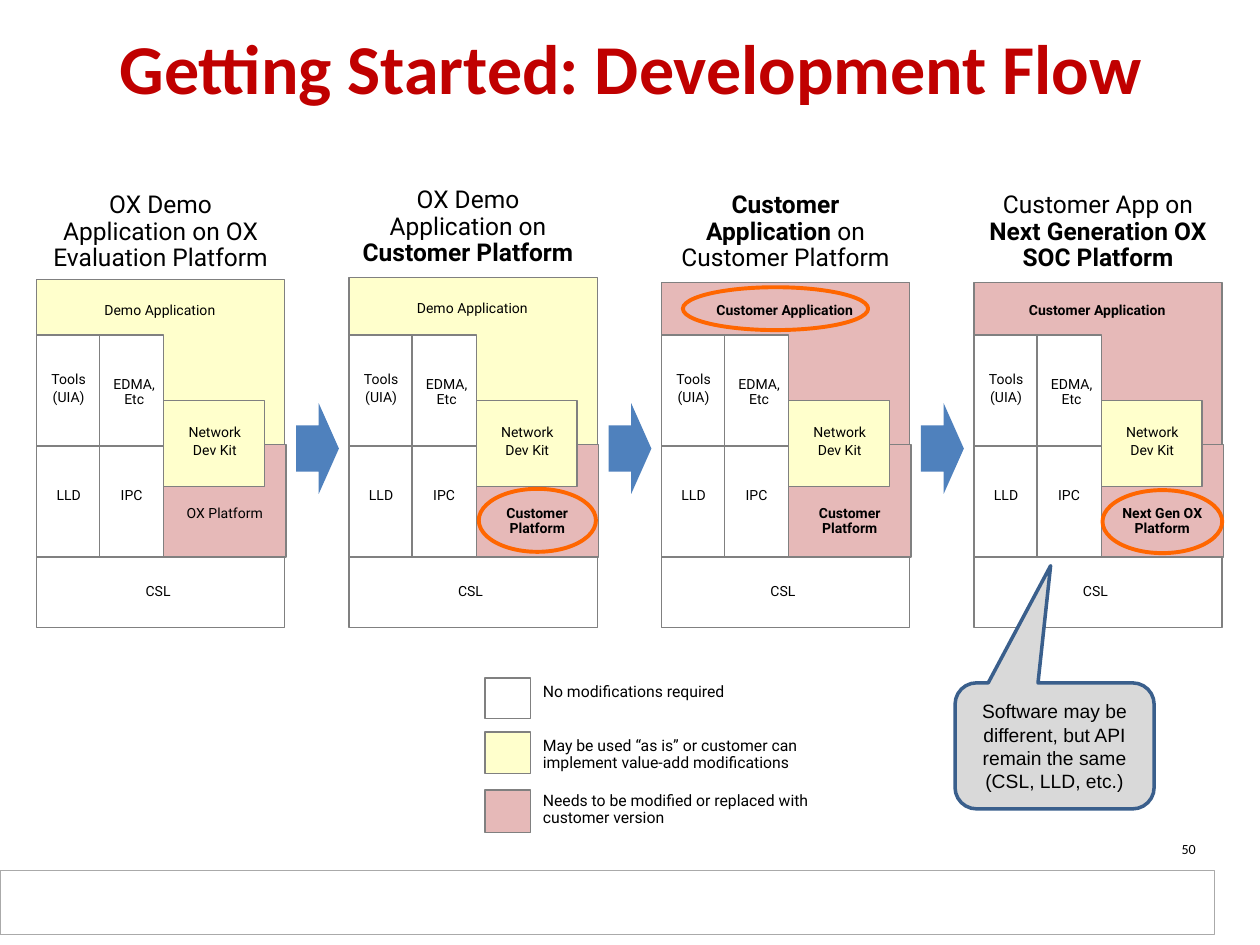
from pptx import Presentation
from pptx import util as u
from pptx.dml.color import RGBColor
from pptx.enum import shapes, text

WHITE, YELLOW, PINK, GREY = "FFFFFF", "FFFFCC", "E6B9B8", "808080"
ORANGE, BLACK = "FF6600", "000000"
SHAPE = shapes.MSO_SHAPE
CENTER = text.PP_ALIGN.CENTER

# Heading spans are (text, bold); top is (fill, top, height); circles mark changes.
STAGES = [
    dict(heading=[("OX Demo Application on OX Evaluation Platform", False)],
         heading_at=(0, 1.48), top=(YELLOW, 2.22, 2.2), app="Demo Application",
         app_top=2.36, app_bold=False, platform="OX Platform", platform_bold=False),
    dict(heading=[("OX Demo Application on ", False), ("Customer Platform", True)],
         heading_at=(-0.04, 1.44), top=(YELLOW, 2.2, 2.2), app="Demo Application",
         app_top=2.34, app_bold=False, platform="Customer Platform", platform_bold=True),
    dict(heading=[("Customer Application", True), (" on Customer Platform", False)],
         heading_at=(0, 1.48), top=(PINK, 2.24, 1.3), app="Customer Application",
         app_top=2.36, app_bold=True, platform="Customer Platform", platform_bold=True),
    dict(heading=[("Customer App on ", False), ("Next Generation OX SOC Platform", True)],
         heading_at=(0, 1.48), top=(PINK, 2.24, 1.3), app="Customer Application",
         app_top=2.36, app_bold=True, platform="Next Gen OX Platform", platform_bold=True),
]
FIRST_LEFT, STAGE_STEP = 0.29, 2.48

# Module cells: label, column, row, label offset from the cell top, label width
MODULES = [("Tools\n(UIA)", 0, 0, 0.25, 0.51), ("EDMA, Etc", 1, 0, 0.29, 0.55),
           ("LLD", 0, 1, 0.29, 0.51), ("IPC", 1, 1, 0.29, 0.51)]

# Legend: fill, swatch top, swatch height, label top, label
LEGEND = [
    (WHITE, 5.38, 0.32, 5.38, "No modifications required"),
    (YELLOW, 5.81, 0.33, 5.81,
     "May be used “as is” or customer can implement value-add modifications"),
    (PINK, 6.27, 0.34, 6.24, "Needs to be modified or replaced with customer version"),
]
CIRCLES = [(5.42, 2.28, 1.47, 0.34), (3.8, 3.88, 0.93, 0.5), (8.75, 3.89, 0.95, 0.5)]


def color(value):
    return RGBColor.from_string(value)


def inches(*lengths):
    return [u.Inches(length) for length in lengths]


def add_figure(page, kind, place, fill=None, line=None, width=0.75):
    figure = page.shapes.add_shape(kind, *inches(*place))
    figure.shadow.inherit = False
    if fill:
        figure.fill.solid()
        figure.fill.fore_color.rgb = color(fill)
    else:
        figure.fill.background()
    if line:
        figure.line.color.rgb = color(line)
        figure.line.width = u.Pt(width)
    else:
        figure.line.fill.background()
    return figure


def add_block(page, place, fill, line=GREY):
    return add_figure(page, SHAPE.RECTANGLE, place, fill, line)


def style_font(font, size, name, bold=False, tint=BLACK):
    font.size, font.name, font.bold = u.Pt(size), name, bold
    font.color.rgb = color(tint)


def add_label(page, place, words, size=8, bold=False, align=CENTER,
              name="Roboto", spacing=0.9):
    box = page.shapes.add_textbox(*inches(*place))
    frame = box.text_frame
    frame.word_wrap = True
    frame.text = words
    for index, para in enumerate(frame.paragraphs):
        para.alignment, para.line_spacing = align, spacing
        if index:
            para.space_before = u.Pt(size * 0.2)
        for span in para.runs:
            style_font(span.font, size, name, bold)
    return box


def add_heading(page, place, spans):
    para = add_label(page, place, "", 14).text_frame.paragraphs[0]
    for words, bold in spans:
        span = para.add_run()
        span.text = words
        style_font(span.font, 14, "Roboto", bold)


def add_stage(page, left, stage):
    # Application layer, CSL and platform
    fill, top, height = stage["top"]
    add_block(page, (left, top, 1.97, height), fill)
    add_block(page, (left, 4.42, 1.97, 0.56), WHITE)
    add_label(page, (left, 4.59, 1.93, 0.22), "CSL")
    add_block(page, (left + 1.01, 3.53, 0.97, 0.89), PINK)
    add_label(page, (left + 1.01, 3.97, 0.97, 0.34), stage["platform"],
              bold=stage["platform_bold"])

    # Network kit and module cells
    add_block(page, (left + 1.01, 3.18, 0.8, 0.68), YELLOW)
    add_label(page, (left + 1.01, 3.33, 0.81, 0.37), "Network\nDev Kit")
    for words, column, row, drop, width in MODULES:
        cell_left, cell_top = left + 0.5 * column, 2.66 + 0.88 * row
        add_block(page, (cell_left, cell_top, 0.51, 0.88), WHITE)
        add_label(page, (cell_left, cell_top + drop, width, 0.37), words)

    # Application name and heading
    add_label(page, (left - 0.02, stage["app_top"], 2, 0.22), stage["app"],
              bold=stage["app_bold"])
    shift, heading_top = stage["heading_at"]
    add_heading(page, (left + shift, heading_top, 1.97, 0.73), stage["heading"])


def add_arrow(page, left):
    arrow = add_figure(page, SHAPE.RIGHT_ARROW, (left, 3.2, 0.34, 0.72), "4F81BD")
    arrow.adjustments[0], arrow.adjustments[1] = 0.51, 0.47


def add_callout(page, words):
    callout = add_figure(page, SHAPE.ROUNDED_RECTANGULAR_CALLOUT,
                         (7.58, 5.42, 1.58, 1), "D9D9D9", "3A5F8C", 2)
    for index, value in enumerate((-0.02, -1.43, 0.17)):
        callout.adjustments[index] = value
    frame = callout.text_frame
    frame.word_wrap = True
    frame.vertical_anchor = text.MSO_ANCHOR.MIDDLE
    frame.text = words
    para = frame.paragraphs[0]
    para.alignment = CENTER
    style_font(para.runs[0].font, 11, "Arial")


def add_title(page, words):
    title = page.shapes.title
    title.left, title.top, title.width, title.height = inches(0.17, 0.08, 9.67, 0.89)
    title.text_frame.text = words
    title.text_frame.vertical_anchor = text.MSO_ANCHOR.MIDDLE
    para = title.text_frame.paragraphs[0]
    para.alignment = CENTER
    style_font(para.runs[0].font, 40, "Calibri", True, "C00000")


def main():
    deck = Presentation()
    deck.slide_width, deck.slide_height = inches(10, 7.5)
    page = deck.slides.add_slide(deck.slide_layouts[5])
    add_title(page, "Getting Started: Development Flow")

    # Footer band
    add_block(page, (0, 6.91, 9.64, 0.51), WHITE, "AAAAAA")

    # Legend
    for fill, top, height, label_top, words in LEGEND:
        add_block(page, (3.85, top, 0.36, height), fill)
        add_label(page, (4.21, label_top, 2.35, 0.37), words, 9,
                  align=text.PP_ALIGN.LEFT)

    # Stages of the flow, with an arrow before each but the first
    for index, stage in enumerate(STAGES):
        left = FIRST_LEFT + STAGE_STEP * index
        add_stage(page, left, stage)
        if index:
            add_arrow(page, left - 0.42)

    # Highlights, note and page number
    for place in CIRCLES:
        add_figure(page, SHAPE.OVAL, place, line=ORANGE, width=2.25)
    add_callout(page, "Software may be different, but API remain the same (CSL, LLD, etc.)")
    add_label(page, (7.26, 6.62, 2.33, 0.23), "50", align=text.PP_ALIGN.RIGHT,
              name="Calibri", spacing=1.0)

    deck.save("out.pptx")


if __name__ == "__main__":
    main()
